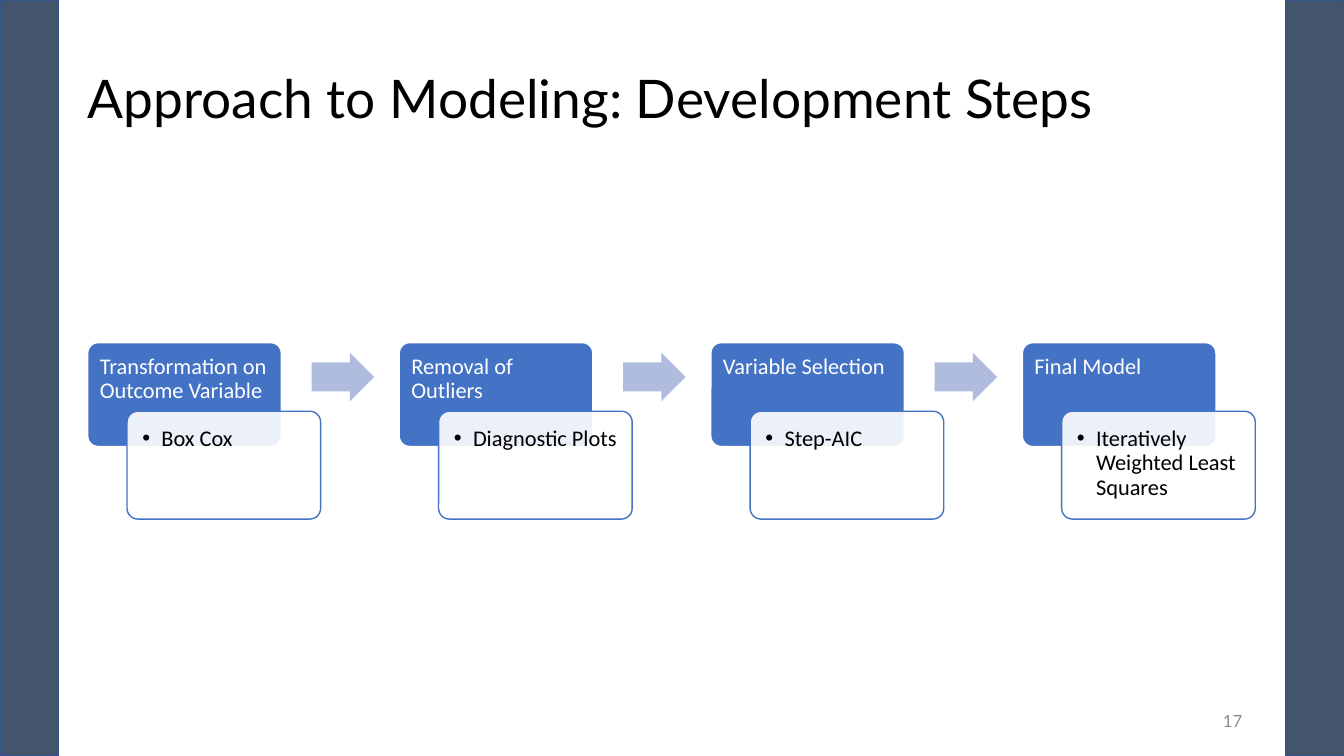
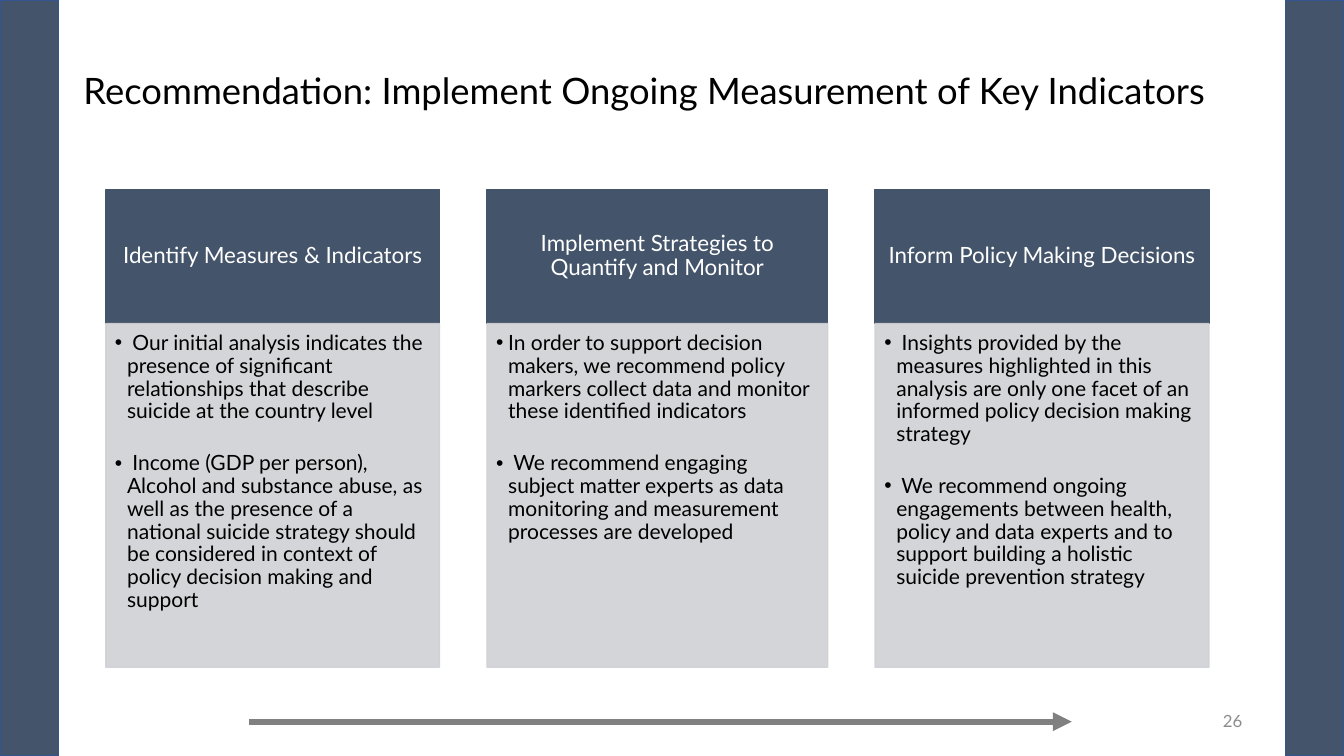
from lxml.etree import SubElement
from pptx import Presentation
from pptx.dml.color import RGBColor
from pptx.enum.shapes import MSO_CONNECTOR, MSO_SHAPE
from pptx.enum.text import MSO_ANCHOR, PP_ALIGN
from pptx.oxml.ns import qn
from pptx.util import Inches, Pt

# Content
STEPS_TITLE = "Approach to Modeling: Development Steps"
STEPS = [
    ("Transformation on Outcome Variable", "Box Cox"),
    ("Removal of Outliers", "Diagnostic Plots"),
    ("Variable Selection", "Step-AIC"),
    ("Final Model", "Iteratively Weighted Least Squares"),
]
ADVICE_TITLE = "Recommendation: Implement Ongoing Measurement of Key Indicators"
ADVICE = [  # heading, column width, bullets
    ("Identify Measures & Indicators", 3.31, [
        " Our initial analysis indicates the presence of significant "
        "relationships that describe suicide at the country level",
        " Income (GDP per person), Alcohol and substance abuse, as well as the "
        "presence of a national suicide strategy should be considered in "
        "context of policy decision making and support",
    ]),
    ("Implement Strategies to Quantify and Monitor", 3.38, [
        "In order to support decision makers, we recommend policy markers "
        "collect data and monitor these identified indicators",
        " We recommend engaging subject matter experts as data monitoring and "
        "measurement processes are developed",
    ]),
    ("Inform Policy Making Decisions", 3.31, [
        " Insights provided by the measures highlighted in this analysis are "
        "only one facet of an informed policy decision making strategy",
        " We recommend ongoing engagements between health, policy and data "
        "experts and to support building a holistic suicide prevention strategy",
    ]),
]

# Shared style
SLIDE_WIDTH, SLIDE_HEIGHT, BAND_WIDTH = 13.33, 7.5, 0.58
TITLE_FONT, STEP_FONT = "Lato", "Calibri"
SLATE, BAND_EDGE, BLUE, PALE_BLUE = "44546A", "325491", "4472C4", "B0BCDE"
PALE_GRAY, ARROW_GRAY, NUMBER_GRAY = "CFD1D4", "808080", "8C8C8C"
WHITE, BLACK = "FFFFFF", "000000"


def paint(fill, color, opacity=100):
    fill.solid()
    fill.fore_color.rgb = RGBColor.from_string(color)
    if opacity < 100:
        color_element = fill._xPr.find(f"{qn('a:solidFill')}/{qn('a:srgbClr')}")
        SubElement(color_element, qn("a:alpha"), val=str(opacity * 1000))


def add_box(slide, kind, place, fill, line=None, opacity=100, line_opacity=100,
            adjustments=()):
    shape = slide.shapes.add_shape(kind, *map(Inches, place))
    shape.shadow.inherit = False
    paint(shape.fill, fill, opacity)
    if line:
        paint(shape.line.fill, line, line_opacity)
        shape.line.width = Pt(1)
    else:
        shape.line.fill.background()
    for index, value in enumerate(adjustments):
        shape.adjustments[index] = value
    return shape


def write(shape, texts, size, color, font=TITLE_FONT, align=PP_ALIGN.LEFT,
          anchor=MSO_ANCHOR.MIDDLE, insets=(0.1, 0.05, 0.1, 0.05),
          hanging=0, gap=0, spacing=0.9):
    frame = shape.text_frame
    frame.word_wrap = True
    frame.vertical_anchor = anchor
    (frame.margin_left, frame.margin_top,
     frame.margin_right, frame.margin_bottom) = map(Inches, insets)
    for index, text in enumerate(texts):
        paragraph = frame.add_paragraph() if index else frame.paragraphs[0]
        paragraph.alignment = align
        paragraph.line_spacing = spacing
        if index:
            paragraph.space_before = Pt(gap)
        if hanging:
            properties = paragraph._p.get_or_add_pPr()
            properties.set("marL", str(Inches(hanging)))
            properties.set("indent", str(-Inches(hanging)))
            SubElement(properties, qn("a:buFont"), typeface="Arial")
            SubElement(properties, qn("a:buChar"), char="•")
        run = paragraph.add_run()
        run.text = text
        run.font.name = font
        run.font.size = Pt(size)
        run.font.color.rgb = RGBColor.from_string(color)


def add_text(slide, place, *arguments, **options):
    write(slide.shapes.add_textbox(*map(Inches, place)), *arguments, **options)


def start_slide(presentation, title, title_place, title_size, number):
    slide = presentation.slides.add_slide(presentation.slide_layouts[6])
    for left in (0, SLIDE_WIDTH - BAND_WIDTH):
        add_box(slide, MSO_SHAPE.RECTANGLE, (left, 0, BAND_WIDTH, SLIDE_HEIGHT),
                SLATE, BAND_EDGE)
    add_text(slide, title_place, [title], title_size, BLACK)
    add_text(slide, (9.42, 6.95, 3, 0.4), [number], 12, NUMBER_GRAY,
             align=PP_ALIGN.RIGHT, spacing=1)
    return slide


def build_steps(presentation):
    slide = start_slide(presentation, STEPS_TITLE, (0.77, 0.28, 11.5, 1.45), 38, "17")
    first_left, pitch, top, width = 0.87, 3.09, 3.4, 1.92
    for index, (heading, method) in enumerate(STEPS):
        left = first_left + index * pitch
        # Step card, with the method card overlapping its lower right;
        # rounded corners add about 0.03 to each inset
        step = add_box(slide, MSO_SHAPE.ROUNDED_RECTANGLE, (left, top, width, 1.03),
                       BLUE, WHITE, adjustments=[0.1])
        write(step, [heading], 16, WHITE, STEP_FONT, anchor=MSO_ANCHOR.TOP,
              insets=(0.09, 0.09, 0.07, 0.04))
        card = add_box(slide, MSO_SHAPE.ROUNDED_RECTANGLE,
                       (left + 0.39, top + 0.68, width, 1.07),
                       WHITE, BLUE, opacity=90, adjustments=[0.1])
        write(card, [method], 16, BLACK, STEP_FONT, anchor=MSO_ANCHOR.TOP,
              insets=(0.12, 0.13, 0.1, 0.1), hanging=0.19)
        # Arrow to the next step
        if index < len(STEPS) - 1:
            add_box(slide, MSO_SHAPE.RIGHT_ARROW, (left + 2.22, top + 0.1, 0.62, 0.48),
                    PALE_BLUE, adjustments=[0.6, 0.5])


def build_advice(presentation):
    slide = start_slide(presentation, ADVICE_TITLE, (0.73, 0.19, 11.87, 1.46), 26, "26")
    left, top, gap, heading_height = 1.05, 1.88, 0.47, 1.33
    for heading, width, bullets in ADVICE:
        header = add_box(slide, MSO_SHAPE.RECTANGLE,
                         (left, top, width, heading_height), SLATE, SLATE)
        write(header, [heading], 16, WHITE, align=PP_ALIGN.CENTER,
              insets=(0.12, 0.07, 0.12, 0.07))
        body = add_box(slide, MSO_SHAPE.RECTANGLE,
                       (left, top + heading_height, width, 3.41),
                       PALE_GRAY, PALE_GRAY, opacity=90, line_opacity=90)
        write(body, bullets, 15, BLACK, anchor=MSO_ANCHOR.TOP,
              insets=(0.09, 0.09, 0.12, 0.13), hanging=0.12, gap=21)
        left += width + gap

    # Progress arrow under the columns
    arrow = slide.shapes.add_connector(
        MSO_CONNECTOR.STRAIGHT, *map(Inches, (2.47, 7.16, 10.63, 7.16)))
    paint(arrow.line.fill, ARROW_GRAY)
    arrow.line.width = Pt(4.5)
    SubElement(arrow.line._get_or_add_ln(), qn("a:tailEnd"), type="triangle")
    SubElement(arrow._element.spPr, qn("a:effectLst"))


def main():
    presentation = Presentation()
    presentation.slide_width = Inches(SLIDE_WIDTH)
    presentation.slide_height = Inches(SLIDE_HEIGHT)
    build_steps(presentation)
    build_advice(presentation)
    presentation.save("out.pptx")


if __name__ == "__main__":
    main()
